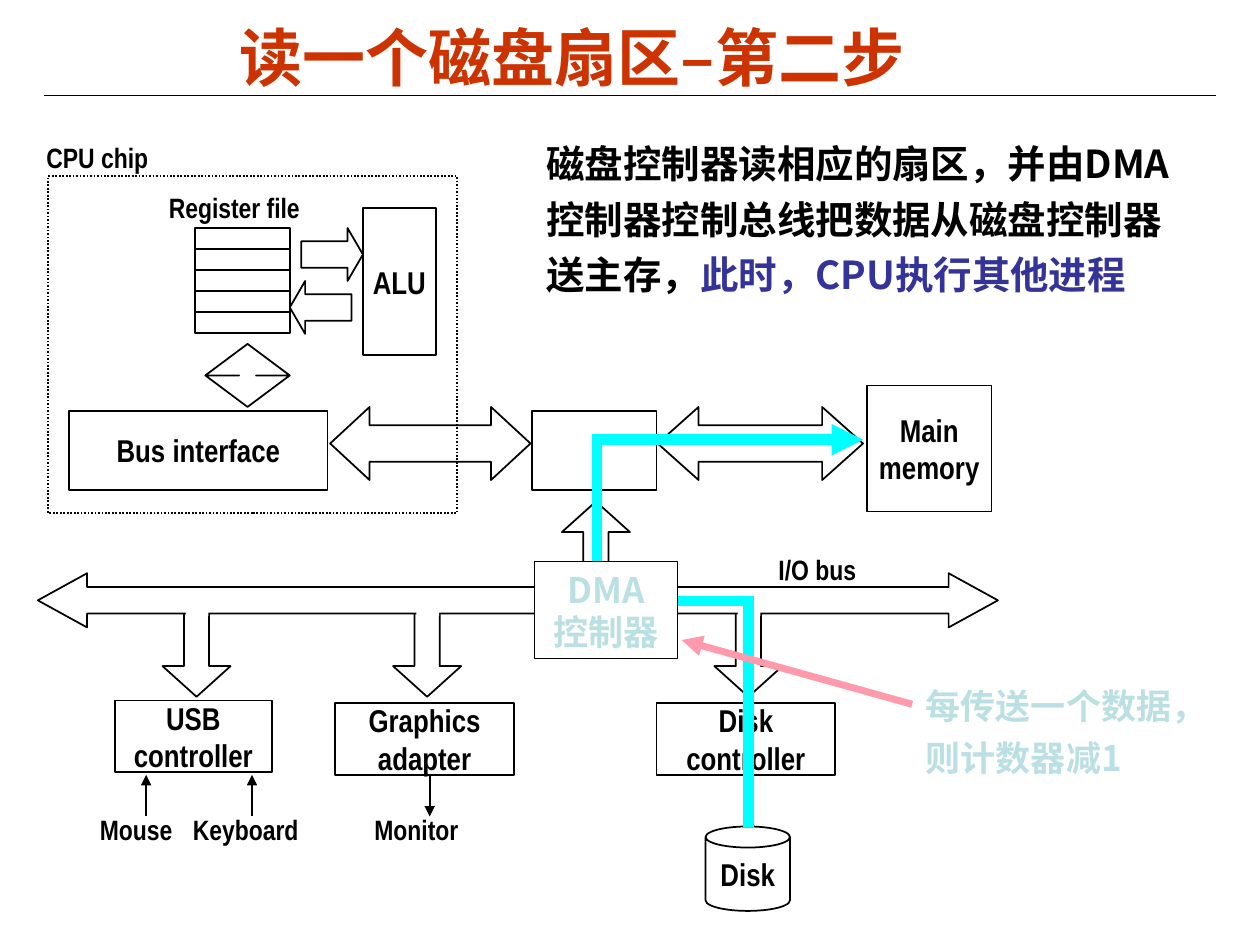
from lxml.etree import SubElement
from pptx import Presentation
from pptx.dml.color import RGBColor
from pptx.enum.dml import MSO_LINE
from pptx.enum.shapes import MSO_CONNECTOR, MSO_SHAPE
from pptx.enum.text import MSO_ANCHOR, MSO_AUTO_SIZE, PP_ALIGN
from pptx.oxml.ns import qn
from pptx.util import Inches, Pt

COLS, ROWS = 100, 75
WIDE, HIGH = Inches(10), Inches(7.5)
BLACK, WHITE, CYAN, PALE = "000000", "FFFFFF", "00FFFF", "BBE0E3"
SANS, HAN = "Arial Narrow", "Noto Sans CJK SC"


def tint(color, code):
    """Set a colour format from a hex string."""
    color.rgb = RGBColor.from_string(code)


def spot(box, x, y):
    """Turn a column and row within a box into slide lengths."""
    return int((box[0] + x) * WIDE / COLS), int((box[1] + y) * HIGH / ROWS)


def frame(box, part):
    """Turn a part of a box into left, top, width and height."""
    x, y, w, h = part
    return spot(box, x, y) + spot((0, 0), w, h)


def style(run, size, font, code):
    """Format a run in bold."""
    run.font.size, run.font.bold, run.font.name = Pt(size), True, font
    tint(run.font.color, code)
    SubElement(run.font._element, qn("a:ea"), typeface=font)


def write(shape, text, size=18, font=SANS, code=BLACK, wrap=False,
          align=PP_ALIGN.CENTER, anchor=MSO_ANCHOR.MIDDLE):
    """Fill a shape with text, one paragraph a line."""
    body = shape.text_frame
    body.text = text
    body.word_wrap, body.vertical_anchor = wrap, anchor
    for para in body.paragraphs:
        para.alignment = align
        for run in para.runs:
            style(run, size, font, code)
    return body


def label(slide, box, part, text, size=16, **looks):
    """Add a text box."""
    return write(slide.shapes.add_textbox(*frame(box, part)), text, size, **looks)


def form(slide, box, part, kind=MSO_SHAPE.RECTANGLE, adj=(), fill=None,
         line=1, text=None):
    """Add a preset shape with a black outline."""
    shape = slide.shapes.add_shape(kind, *frame(box, part))
    shape.shadow.inherit = False
    for i, share in enumerate(adj):
        shape.adjustments[i] = share
    if fill:
        shape.fill.solid()
        tint(shape.fill.fore_color, fill)
    else:
        shape.fill.background()
    if line:
        tint(shape.line.color, BLACK)
        shape.line.width = Pt(line)
    else:
        shape.line.fill.background()
    if text:
        write(shape, text)
    return shape


def link(slide, box, start, stop, code=BLACK, width=1, tip=None):
    """Add a straight line with an optional arrow tip."""
    line = slide.shapes.add_connector(
        MSO_CONNECTOR.STRAIGHT, *spot(box, *start), *spot(box, *stop))
    tint(line.line.color, code)
    line.line.width = Pt(width)
    props = line._element.spPr
    if tip:
        SubElement(props.find(qn("a:ln")), qn("a:" + tip), type="triangle")
    SubElement(props, qn("a:effectLst"))


def head(slide, box):
    """Place the title above its rule."""
    wide, high = box[2:]
    link(slide, box, (0, high), (wide, high), width=0.75)
    label(slide, box, (0.4, 0, 83, high), "读一个磁盘扇区–第二步", 36,
          font=HAN, code="CC3300", wrap=True)


def chip(slide, box):
    """Place the CPU chip with its parts."""
    form(slide, box, (0, 0, *box[2:])).line.dash_style = MSO_LINE.ROUND_DOT
    label(slide, box, (-1.1, -3.4, 10.1, 3.7), "CPU chip", align=PP_ALIGN.LEFT)
    label(slide, box, (8.6, 0.6, 12.4, 3.7), "Register file")
    for i in range(5):
        form(slide, box, (11.7, 4.1 + 1.67 * i, 7.5, 1.67))
    form(slide, box, (20.1, 4.1, 4.9, 4.2), MSO_SHAPE.RIGHT_ARROW, (0.5, 0.29))
    form(slide, box, (19.2, 8.3, 4.9, 4.2), MSO_SHAPE.LEFT_ARROW, (0.5, 0.29))
    form(slide, box, (25, 2.5, 5.8, 11.7), text="ALU")
    form(slide, box, (12.5, 13.3, 6.7, 5), MSO_SHAPE.UP_DOWN_ARROW, (0.5, 0.2))
    form(slide, box, (1.7, 18.6, 20.5, 6.3), text="Bus interface")


def store(slide, box):
    """Place the bridge, the main memory and the buses between."""
    for x, w, tip in ((0, 15.9, 0.54), (26, 16.3, 0.56)):
        form(slide, box, (x, 1.7, w, 5.8), MSO_SHAPE.LEFT_RIGHT_ARROW, (0.5, tip))
    form(slide, box, (16, 2, 9.9, 6.3))
    form(slide, box, (42.6, 0, 9.9, box[3]), text="Main\nmemory")


def ports(slide, box):
    """Place the I/O bus, its controllers and their devices."""
    stem = (0.37, 0.45)
    form(slide, box, (41.6, -3.5, 5.4, 7.5), MSO_SHAPE.UP_ARROW, stem)
    drops = (9.9, 28.2, 53.7)
    units = ((6.1, 12.3, 12.5, "USB\ncontroller"),
             (23.6, 12.5, 14.2, "Graphics\nadapter"),
             (49.1, 12.5, 14.2, "Disk\ncontroller"))
    for drop, (x, y, w, text) in zip(drops, units):
        form(slide, box, (drop, 4.5, 5.4, 7.5), MSO_SHAPE.DOWN_ARROW, stem)
        form(slide, box, (x, y, w, 5.7), text=text)
    form(slide, box, (0, 2.2, box[2], 4.3), MSO_SHAPE.LEFT_RIGHT_ARROW,
         (0.49, 0.91), WHITE)
    for drop in drops:
        form(slide, box, (drop + 1.85, 3.9, 1.8, 1.7), fill=WHITE, line=None)
    label(slide, box, (57.8, 0, 8.2, 3.7), "I/O bus", align=PP_ALIGN.LEFT)
    for at, x, w, text, tip in ((8.6, 3.9, 7.8, "Mouse", "headEnd"),
                                (17, 11.3, 10.4, "Keyboard", "headEnd"),
                                (31.1, 25.7, 8.7, "Monitor", "tailEnd")):
        link(slide, box, (at, 18.2), (at, 21.5), tip=tip)
        label(slide, box, (x, 20.7, w, 3.7), text)
    form(slide, box, (53, 22.3, 6.7, 6.7), MSO_SHAPE.CAN, (0.25,), text="Disk")


def flow(slide, box):
    """Place the data path from disk to memory through the DMA unit."""
    wide, high = box[2:]
    for start, stop, tip in (((4.6, 0), (wide, 0), "tailEnd"),
                             ((5, 0), (5, 12.4), None),
                             ((4.6, 12.8), (16.9, 12.8), None),
                             ((17, 12.4), (17, high), None)):
        link(slide, box, start, stop, CYAN, 6, tip)
    unit = form(slide, box, (0, 9.7, 11.4, 7.7), fill=WHITE, line=0.5)
    write(unit, "DMA\n控制器", 20, HAN, PALE, True, anchor=MSO_ANCHOR.TOP)


def prose(slide, box, part, text, size, code, space):
    """Add a wrapped text block and return its paragraph."""
    body = label(slide, box, part, text, size, font=HAN, code=code, wrap=True,
                 align=PP_ALIGN.LEFT, anchor=MSO_ANCHOR.TOP)
    body.auto_size = MSO_AUTO_SIZE.SHAPE_TO_FIT_TEXT
    body.paragraphs[0].line_spacing = space
    return body.paragraphs[0]


def note(slide, box):
    """Place the main remark with its coloured end."""
    para = prose(slide, box, (0, 0, *box[2:]),
                 "磁盘控制器读相应的扇区，并由DMA控制器控制总线把数据从磁盘控制器送主存，",
                 22, BLACK, 1.2)
    run = para.add_run()
    run.text = "此时，CPU执行其他进程"
    style(run, 22, HAN, "333399")


def hint(slide, box):
    """Place the counter remark and its pointer."""
    prose(slide, box, (18.4, 2.2, 21.6, 9.3), "每传送一个数据，则计数器减1",
          20, PALE, 1.25)
    link(slide, box, (18.3, 5.1), (0, 0), "FE9AAB", 4, "tailEnd")


def main():
    """Build the slide and save it."""
    deck = Presentation()
    deck.slide_width, deck.slide_height = WIDE, HIGH
    slide = deck.slides.add_slide(deck.slide_layouts[6])
    head(slide, (3.5, 1.4, 93, 6.2))
    chip(slide, (3.8, 14, 32.5, 26.7))
    store(slide, (26.2, 30.6, 52.5, 10))
    ports(slide, (3, 43.3, 76.2, 29))
    flow(slide, (42.4, 34.9, 26.1, 30.7))
    note(slide, (42.4, 9.9, 53.6, 14.2))
    hint(slide, (54.1, 50.8, 40, 11.5))
    deck.save("out.pptx")


if __name__ == "__main__":
    main()
